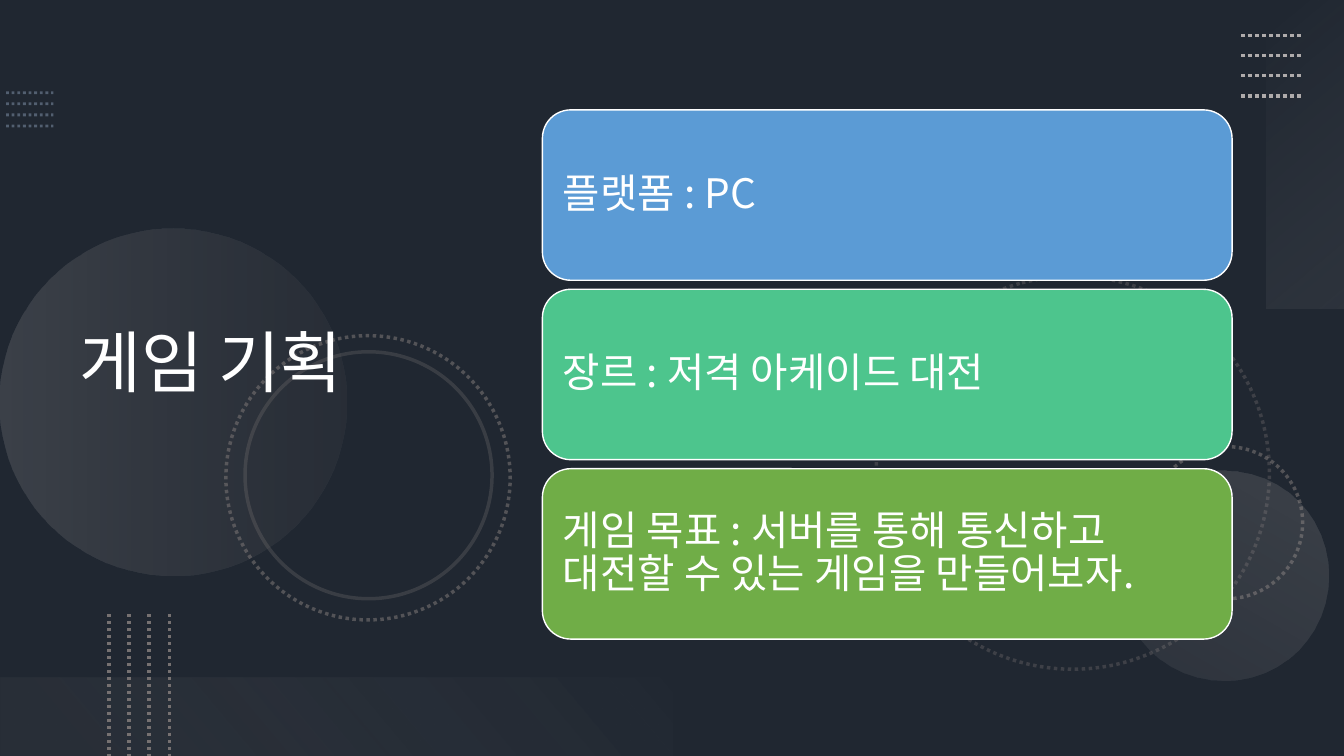
from dataclasses import dataclass
from typing import Any, Optional

from lxml import etree
from pptx import Presentation
from pptx import util as u
from pptx.dml.color import RGBColor
from pptx.enum import dml, shapes, text
from pptx.oxml import parse_xml
from pptx.oxml.ns import nsdecls, qn

FONT = "Noto Sans CJK KR"
HUES = {
    "back": "44546A", "shade": "000000", "white": "FFFFFF",
    "steel": "8497B0", "gray": "767171", "silver": "AFABAB",
    "pale": "F5F5F5", "mist": "F1F0F0",
    "blue": "5B9BD5", "mint": "4DC58D", "green": "70AD47",
}


@dataclass
class Fade:
    stops: list[tuple[int, str, int]]  # place, hue, opacity in percent
    angle: int


@dataclass
class Deco:
    kind: Any
    box: tuple[float, float, float, float]
    turn: int = 0
    fade: Optional[Fade] = None
    dash: bool = True
    alpha: int = 100


@dataclass
class Rows:
    start: tuple[float, float]
    end: tuple[float, float]
    step: tuple[float, float]
    hue: str
    width: float = 2.5
    alpha: int = 100


@dataclass
class Card:
    label: str
    hue: str


OVAL, RECT = shapes.MSO_SHAPE.OVAL, shapes.MSO_SHAPE.RECTANGLE
DOTS = dml.MSO_LINE.ROUND_DOT
LEFT = Rows((0.06, 0.92), (0.53, 0.92), (0, 0.11), "steel", 2, 50)
RIGHT = Rows((12.31, 0.35), (12.91, 0.35), (0, 0.2), "silver")
BASE = Rows((1.08, 6.09), (1.08, 7.5), (0.2, 0), "gray")
ROUNDS = [
    Deco(OVAL, (8.69, 2.74, 3.9, 3.9), 75, alpha=35),
    Deco(OVAL, (11.41, 4.43, 1.51, 1.51), 270, alpha=60),
    Deco(OVAL, (0, 2.27, 3.44, 3.44), 270,
         Fade([(0, "silver", 20), (100, "gray", 10)], 90)),
    Deco(OVAL, (11.1, 4.67, 2.08, 2.08), 210,
         Fade([(0, "silver", 10), (100, "silver", 20)], 90)),
    Deco(OVAL, (2.24, 3.33, 2.82, 2.82), 75, alpha=60),
    Deco(OVAL, (2.43, 3.49, 2.45, 2.45), 75, dash=False, alpha=30),
]
SIDE = Deco(RECT, (11.42, 1.14, 3.06, 0.78), 270,
            Fade([(0, "pale", 0), (100, "silver", 10)], 140))
FOOT = Deco(RECT, (0, 6.72, 6.67, 0.78), 180,
            Fade([(10, "gray", 10), (100, "mist", 0)], 140))
CARDS = [
    Card("플랫폼 : PC", "blue"),
    Card("장르 : 저격 아케이드 대전", "mint"),
    Card("게임 목표 : 서버를 통해 통신하고 대전할 수 있는 게임을 만들어보자.", "green"),
]


def tint(name: str) -> RGBColor:
    return RGBColor.from_string(HUES[name])


def dim(part: Any, alpha: int) -> None:
    """Set the opacity of a solid fill found under part."""
    color = next(part.iter(qn("a:srgbClr")))
    etree.SubElement(color, qn("a:alpha"), val=str(alpha * 1000))


def stroke(line: Any, hue: str, width: float, dash: bool, alpha: int) -> None:
    line.color.rgb = tint(hue)
    line.width = u.Pt(width)
    if dash:
        line.dash_style = DOTS
    if alpha < 100:
        dim(line._get_or_add_ln(), alpha)


def blend(shape: Any, fade: Fade) -> None:
    stops = "".join(
        f'<a:gs pos="{pos * 1000}"><a:srgbClr val="{HUES[hue]}">'
        f'<a:alpha val="{alpha * 1000}"/></a:srgbClr></a:gs>'
        for pos, hue, alpha in fade.stops)
    grad = parse_xml(
        f'<a:gradFill {nsdecls("a")} rotWithShape="1"><a:gsLst>{stops}</a:gsLst>'
        f'<a:lin ang="{fade.angle * 60000}" scaled="0"/></a:gradFill>')
    props = shape.element.spPr
    props.find(qn("a:prstGeom")).addnext(grad)


def place(slide: Any, kind: Any, box: tuple) -> Any:
    shape = slide.shapes.add_shape(kind, *map(u.Inches, box))
    shape.shadow.inherit = False
    return shape


def adorn(slide: Any, deco: Deco) -> None:
    shape = place(slide, deco.kind, deco.box)
    shape.rotation = deco.turn
    if deco.fade:
        blend(shape, deco.fade)
        shape.line.fill.background()
    else:
        shape.fill.background()
        stroke(shape.line, "gray", 2.5, deco.dash, deco.alpha)


def rule(slide: Any, rows: Rows) -> None:
    for i in range(4):
        ends = [spot + i * gap for point in (rows.start, rows.end)
                for spot, gap in zip(point, rows.step)]
        line = slide.shapes.add_connector(
            shapes.MSO_CONNECTOR.STRAIGHT, *map(u.Inches, ends))
        stroke(line.line, rows.hue, rows.width, True, rows.alpha)
        etree.SubElement(line.element.spPr, qn("a:effectLst"))


def write(shape: Any, label: str, size: int, pad: dict) -> None:
    frame = shape.text_frame
    frame.text = label
    look = {"word_wrap": True, "auto_size": text.MSO_AUTO_SIZE.NONE,
            "vertical_anchor": text.MSO_ANCHOR.MIDDLE, **pad}
    para = frame.paragraphs[0]
    lead = {"alignment": text.PP_ALIGN.LEFT, "line_spacing": 0.9}
    font = para.runs[0].font
    face = {"name": FONT, "size": u.Pt(size)}
    for item, props in ((frame, look), (para, lead), (font, face)):
        for key, val in props.items():
            setattr(item, key, val)
    font.color.rgb = tint("white")
    latin = font._element.find(qn("a:latin"))
    latin.addnext(parse_xml(f'<a:ea {nsdecls("a")} typeface="{FONT}"/>'))


def main() -> None:
    deck = Presentation()
    deck.slide_width, deck.slide_height = u.Inches(13.33), u.Inches(7.5)
    slide = deck.slides.add_slide(deck.slide_layouts[5])

    # Dark backdrop
    slide.background.fill.solid()
    slide.background.fill.fore_color.rgb = tint("back")
    shade = place(slide, RECT, (0, 0, 13.33, 7.5))
    shade.fill.solid()
    shade.fill.fore_color.rgb = tint("shade")
    dim(shade.element.spPr, 53)
    shade.line.fill.background()

    # Dotted rows, circles and bands
    rule(slide, LEFT)
    for deco in ROUNDS:
        adorn(slide, deco)
    adorn(slide, SIDE)
    rule(slide, RIGHT)
    adorn(slide, FOOT)
    rule(slide, BASE)

    # Title, brought in front of the backdrop
    title = slide.shapes.title
    spots = {"left": 0.69, "top": 0.54, "width": 4.59, "height": 6.17}
    for key, val in spots.items():
        setattr(title, key, u.Inches(val))
    write(title, "게임 기획", 48, {})
    title.element.getparent().append(title.element)

    # Cards
    pad = {f"margin_{side}": u.Inches(0.12)
           for side in ("left", "top", "right", "bottom")}
    for i, card in enumerate(CARDS):
        shape = place(slide, shapes.MSO_SHAPE.ROUNDED_RECTANGLE,
                      (5.38, 1.09 + 1.78 * i, 6.84, 1.69))
        shape.fill.solid()
        shape.fill.fore_color.rgb = tint(card.hue)
        stroke(shape.line, "white", 1, False, 100)
        write(shape, card.label, 29, pad)

    deck.save("out.pptx")


if __name__ == "__main__":
    main()
